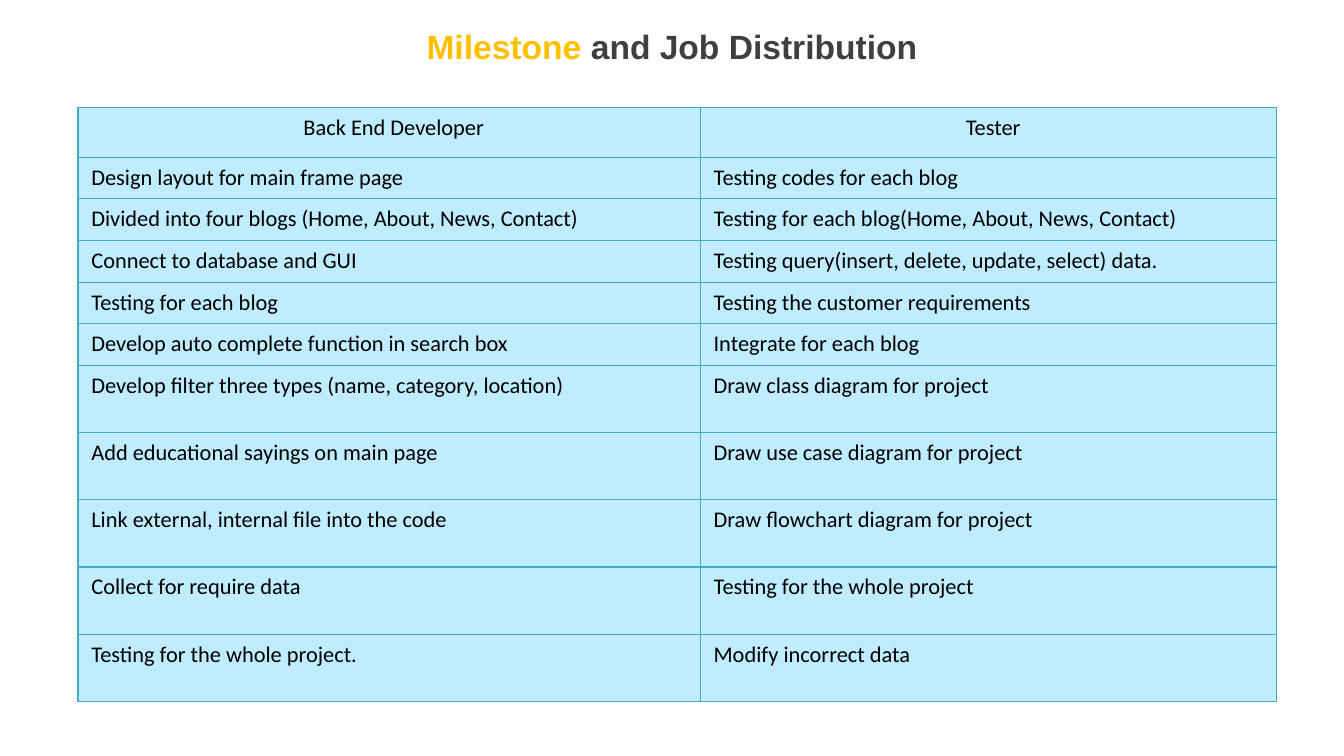
from lxml.etree import SubElement
from pptx import Presentation
from pptx.dml.color import RGBColor
from pptx.enum.text import MSO_ANCHOR, PP_ALIGN
from pptx.oxml.ns import qn
from pptx.util import Inches, Pt

COLORS = {"accent": "FFC000", "title": "3F3F3F", "text": "000000",
          "fill": "BFECFF", "border": "46AAC5"}
TITLE = [("Milestone ", "accent"), ("and Job Distribution", "title")]
ROWS = [
    ("Back End Developer", "Tester"),
    ("Design layout for main frame page", "Testing codes for each blog"),
    ("Divided into four blogs (Home, About, News, Contact)",
     "Testing for each blog(Home, About, News, Contact)"),
    ("Connect to database and GUI",
     "Testing query(insert, delete, update, select) data."),
    ("Testing for each blog", "Testing the customer requirements"),
    ("Develop auto complete function in search box", "Integrate for each blog"),
    ("Develop filter three types (name, category, location)",
     "Draw class diagram for project"),
    ("Add educational sayings on main page", "Draw use case diagram for project"),
    ("Link external, internal file into the code",
     "Draw flowchart diagram for project"),
    ("Collect for require data", "Testing for the whole project"),
    ("Testing for the whole project.", "Modify incorrect data"),
]
COL_WIDTHS = [4.63, 4.29]
ROW_HEIGHTS = [0.37] + [0.31] * 5 + [0.5] * 5


def style_run(r, font, size, color, bold=False):
    """Set the font, size, colour and weight of a run."""
    r.font.name, r.font.size, r.font.bold = font, Pt(size), bold
    r.font.color.rgb = RGBColor.from_string(COLORS[color])


def add_borders(cell):
    """Draw a thin line on all four sides of a cell."""
    tc_pr = cell._tc.get_or_add_tcPr()
    for side in ("a:lnL", "a:lnR", "a:lnT", "a:lnB"):
        ln = SubElement(tc_pr, qn(side), w=str(Pt(0.75)))
        fill = SubElement(ln, qn("a:solidFill"))
        SubElement(fill, qn("a:srgbClr"), val=COLORS["border"])


def add_title(s):
    """Fill and place the title placeholder."""
    sp = s.shapes.title
    sp.left, sp.top, sp.width, sp.height = (
        Inches(v) for v in (0, 0.03, 10, 0.62))
    tf = sp.text_frame
    tf.word_wrap = True
    tf.vertical_anchor = MSO_ANCHOR.MIDDLE
    p = tf.paragraphs[0]
    p.alignment = PP_ALIGN.CENTER
    for text, color in TITLE:
        r = p.add_run()
        r.text = text
        style_run(r, "Arial", 18, color, True)


def add_jobs(s):
    """Build the table of jobs for each role."""
    table = s.shapes.add_table(
        len(ROWS), len(COL_WIDTHS), Inches(0.58), Inches(0.8),
        Inches(sum(COL_WIDTHS)), Inches(sum(ROW_HEIGHTS))).table
    table.first_row = table.horz_banding = False
    for col, width in zip(table.columns, COL_WIDTHS):
        col.width = Inches(width)
    for i, (row, height, texts) in enumerate(zip(table.rows, ROW_HEIGHTS, ROWS)):
        row.height = Inches(height)
        for cell, text in zip(row.cells, texts):
            add_borders(cell)
            cell.fill.solid()
            cell.fill.fore_color.rgb = RGBColor.from_string(COLORS["fill"])
            p = cell.text_frame.paragraphs[0]
            p.text = text
            style_run(p.runs[0], "Calibri", 12, "text")
            if i == 0:
                p.alignment = PP_ALIGN.CENTER
                p.space_before = Pt(7)
                p._p.get_or_add_pPr().set("marL", str(Inches(0.07)))


def main():
    """Build the slide and save it."""
    prs = Presentation()
    prs.slide_width = Inches(10)
    prs.slide_height = prs.slide_width * 9 // 16
    s = prs.slides.add_slide(prs.slide_layouts[5])
    add_title(s)
    add_jobs(s)
    prs.save("out.pptx")


if __name__ == "__main__":
    main()
